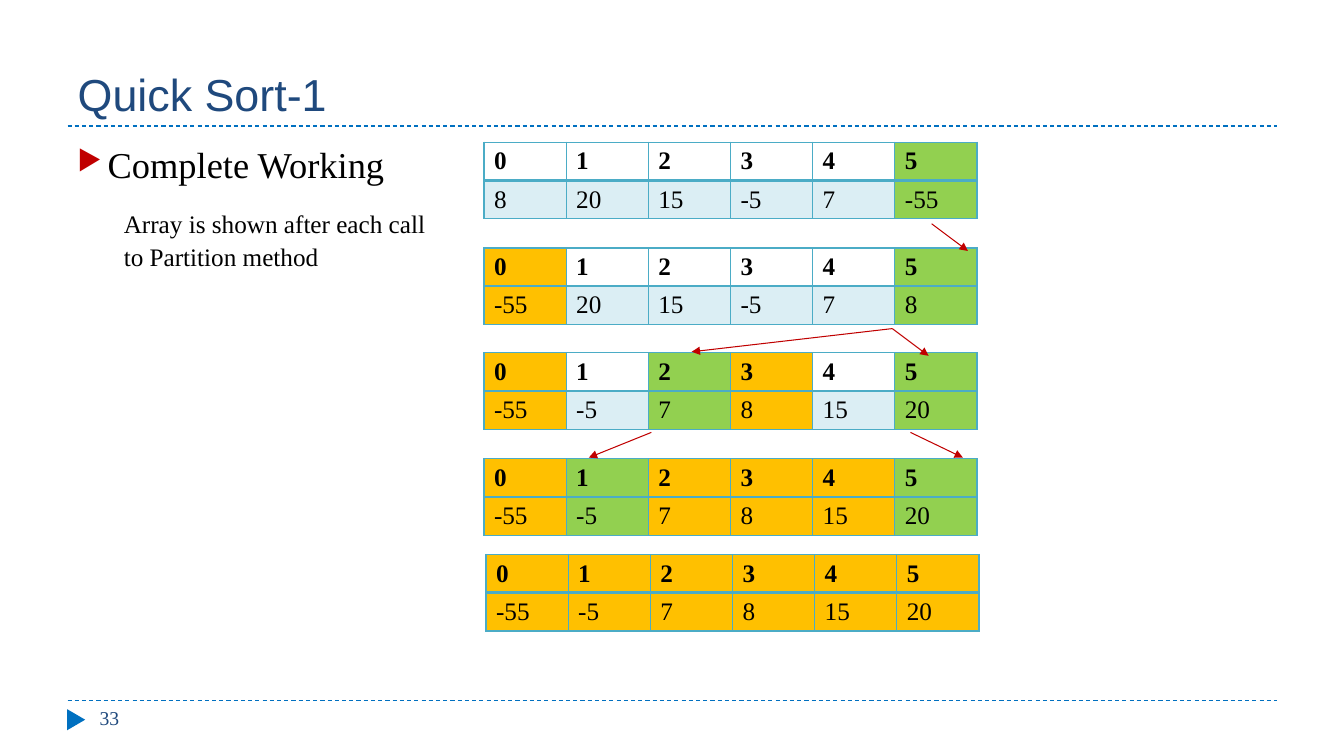
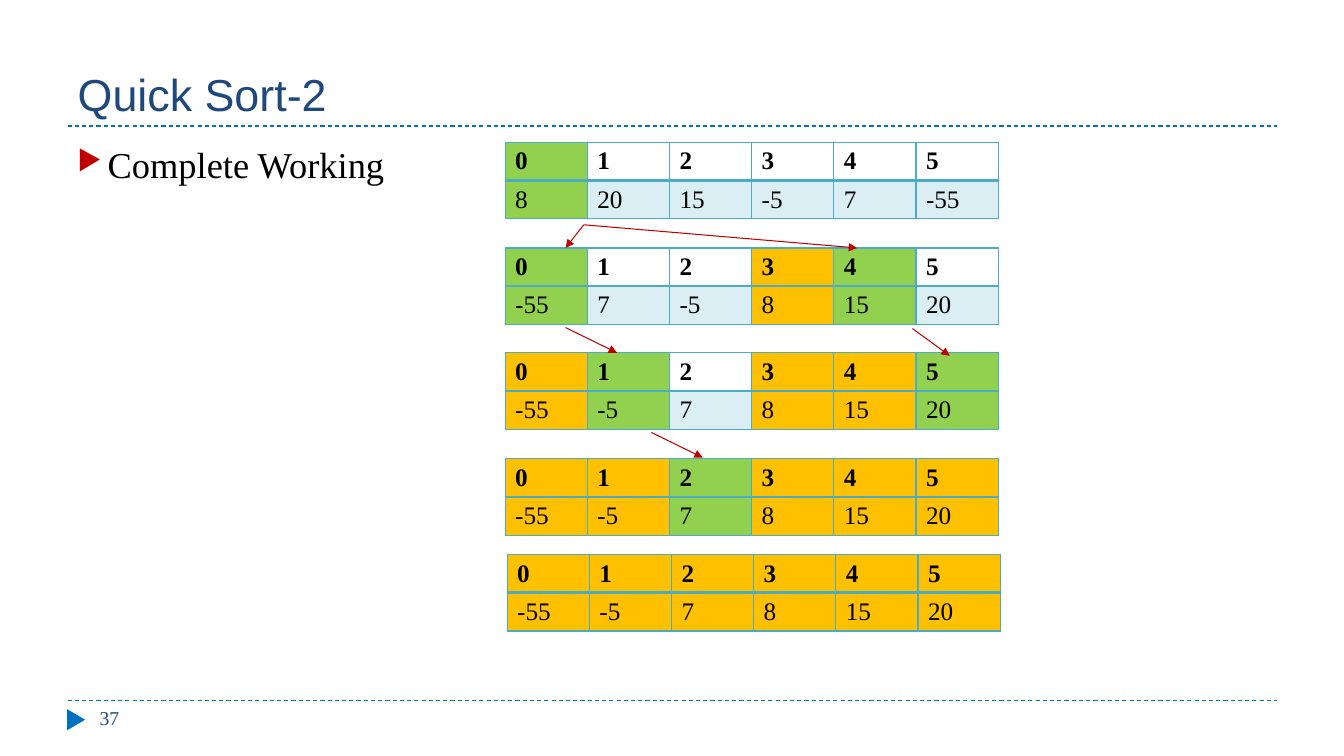
from lxml.etree import SubElement
from pptx import Presentation
from pptx.dml.color import RGBColor
from pptx.enum.dml import MSO_LINE
from pptx.enum.shapes import MSO_CONNECTOR, MSO_SHAPE
from pptx.enum.text import MSO_ANCHOR, PP_ALIGN
from pptx.oxml.ns import qn
from pptx.util import Inches, Pt

NAVY, BLUE, RED, TEAL = "1F497D", "0070C0", "C00000", "4BACC6"
BLACK, WHITE, PALE = "000000", "FFFFFF", "DBEEF4"
SERIF, SANS = "Times New Roman", "Arial"

# Cell states: "." not yet sorted, "P" pivot of the next call, "S" in final place
STATE_FILLS = {"P": "92D050", "S": "FFC000"}
TABLE_TOPS = [1.41, 2.46, 3.5, 4.55, 5.5]
TABLE_WIDTH, ROW_HEIGHT, LAST_SHIFT = 4.89, 0.38, 0.02

SLIDES = [
    {
        "title": "Quick Sort-1",
        "number": "33",
        "table_left": 4.8,
        "steps": [
            ((8, 20, 15, -5, 7, -55), ".....P"),
            ((-55, 20, 15, -5, 7, 8), "S....P"),
            ((-55, -5, 7, 8, 15, 20), "S.PS.P"),
            ((-55, -5, 7, 8, 15, 20), "SPSSSP"),
            ((-55, -5, 7, 8, 15, 20), "SSSSSS"),
        ],
        "arrows": [
            ((9.24, 2.22), (9.6, 2.49)),
            ((8.85, 3.26), (6.86, 3.49)),
            ((8.85, 3.26), (9.21, 3.53)),
            ((6.46, 4.29), (5.84, 4.54)),
            ((9.03, 4.29), (9.55, 4.54)),
        ],
        "note": "Array is shown after each call to Partition method",
    },
    {
        "title": "Quick Sort-2",
        "number": "37",
        "table_left": 5.01,
        "steps": [
            ((8, 20, 15, -5, 7, -55), "P....."),
            ((-55, 7, -5, 8, 15, 20), "P..SP."),
            ((-55, -5, 7, 8, 15, 20), "SP.SSP"),
            ((-55, -5, 7, 8, 15, 20), "SSPSSS"),
            ((-55, -5, 7, 8, 15, 20), "SSSSSS"),
        ],
        "arrows": [
            ((5.79, 2.23), (5.61, 2.46)),
            ((5.79, 2.23), (8.5, 2.46)),
            ((5.61, 3.25), (6.12, 3.5)),
            ((9.05, 3.26), (9.42, 3.53)),
            ((6.46, 4.29), (6.97, 4.54)),
        ],
    },
]


def rgb(value):
    return RGBColor.from_string(value)


def write(frame, text, size, color=BLACK, font=SERIF, bold=False, spacing=None):
    """Put one formatted paragraph into a text frame and return it."""
    frame.word_wrap = True
    para = frame.paragraphs[0]
    para.alignment = PP_ALIGN.LEFT
    para.line_spacing = spacing
    span = para.add_run()
    span.text = text
    span.font.size = Pt(size)
    span.font.name = font
    span.font.bold = bold
    span.font.color.rgb = rgb(color)
    return para


def add_text(page, text, left, top, width, height, **style):
    box = page.shapes.add_textbox(*map(Inches, (left, top, width, height)))
    return write(box.text_frame, text, **style)


def indent(para, margin, first=0):
    properties = para._p.get_or_add_pPr()
    properties.set("marL", str(Inches(margin)))
    properties.set("indent", str(Inches(first)))
    return properties


def add_line(page, start, end, color, dashed=False, arrow=False):
    points = [Inches(value) for value in (*start, *end)]
    line = page.shapes.add_connector(MSO_CONNECTOR.STRAIGHT, *points)
    line.line.color.rgb = rgb(color)
    line.line.width = Pt(0.75)
    if dashed:
        line.line.dash_style = MSO_LINE.DASH
    if arrow:
        SubElement(line.line._get_or_add_ln(), qn("a:tailEnd"), type="triangle")
    SubElement(line._element.spPr, qn("a:effectLst"))


def set_borders(cell, bottom):
    properties = cell._tc.get_or_add_tcPr()
    widths = {"a:lnL": 1, "a:lnR": 1, "a:lnT": 1, "a:lnB": bottom}
    for position, (tag, width) in enumerate(widths.items()):
        edge = properties.makeelement(qn(tag), {"w": str(Pt(width))})
        fill = SubElement(edge, qn("a:solidFill"))
        SubElement(fill, qn("a:srgbClr"), val=TEAL)
        properties.insert(position, edge)


def add_array(page, values, states, left, top):
    """Draw an array as a row of indexes above a row of values."""
    rows = [range(len(values)), values]
    table = page.shapes.add_table(
        len(rows), len(values), Inches(left), Inches(top),
        Inches(TABLE_WIDTH), Inches(ROW_HEIGHT * len(rows))).table
    table.first_row = table.horz_banding = False
    for column in table.columns:
        column.width = Inches(TABLE_WIDTH / len(values))
    for row, (entries, plain) in enumerate(zip(rows, (WHITE, PALE))):
        header = row == 0
        table.rows[row].height = Inches(ROW_HEIGHT)
        for column, (entry, state) in enumerate(zip(entries, states)):
            cell = table.cell(row, column)
            cell.margin_top = cell.margin_bottom = Inches(0.04)
            cell.vertical_anchor = MSO_ANCHOR.MIDDLE
            cell.fill.solid()
            cell.fill.fore_color.rgb = rgb(STATE_FILLS.get(state, plain))
            set_borders(cell, bottom=2 if header else 1)
            write(cell.text_frame, str(entry), size=18, bold=header)


def add_frame(page, title, number):
    """Add the title, the dashed rules and the footer that all slides share."""
    for height in (6.95, 1.25):
        add_line(page, (0.67, height), (12.67, height), BLUE, dashed=True)
    marker = page.shapes.add_shape(
        MSO_SHAPE.ISOSCELES_TRIANGLE,
        Inches(0.65), Inches(7.05), Inches(0.21), Inches(0.18))
    marker.rotation = 90
    marker.shadow.inherit = False
    marker.fill.solid()
    marker.fill.fore_color.rgb = rgb(BLUE)
    marker.line.fill.background()

    heading = page.shapes.title
    heading.left, heading.top = Inches(0.67), Inches(0.17)
    heading.width, heading.height = Inches(12), Inches(1.08)
    heading.text_frame.vertical_anchor = MSO_ANCHOR.BOTTOM
    write(heading.text_frame, title, size=32, color=NAVY, font=SANS)
    add_text(page, number, 0.89, 6.95, 2.89, 0.4, size=14, color=NAVY)


def add_bullet(page, text):
    para = add_text(page, text, 0.67, 1.33, 4, 0.6, size=26, spacing=1.07)
    para.space_before = Pt(6)
    properties = indent(para, 0.3, -0.3)
    color = SubElement(properties, qn("a:buClr"))
    SubElement(color, qn("a:srgbClr"), val=RED)
    SubElement(properties, qn("a:buSzPct"), val="76000")
    SubElement(properties, qn("a:buChar"), char="▶")


def add_slide(deck, content):
    page = deck.slides.add_slide(deck.slide_layouts.get_by_name("Title Only"))
    add_frame(page, content["title"], content["number"])
    add_bullet(page, "Complete Working")
    last = len(TABLE_TOPS) - 1
    for index, (top, step) in enumerate(zip(TABLE_TOPS, content["steps"])):
        shift = LAST_SHIFT if index == last else 0
        add_array(page, *step, content["table_left"] + shift, top)
    for start, end in content["arrows"]:
        add_line(page, start, end, RED, arrow=True)
    if "note" in content:
        note = add_text(page, content["note"], 1.07, 2, 3.34, 0.71,
                        size=18, spacing=1.07)
        indent(note, 0.06)


def main():
    deck = Presentation()
    deck.slide_width, deck.slide_height = Inches(13.33), Inches(7.5)
    for content in SLIDES:
        add_slide(deck, content)
    deck.save("out.pptx")


if __name__ == "__main__":
    main()
